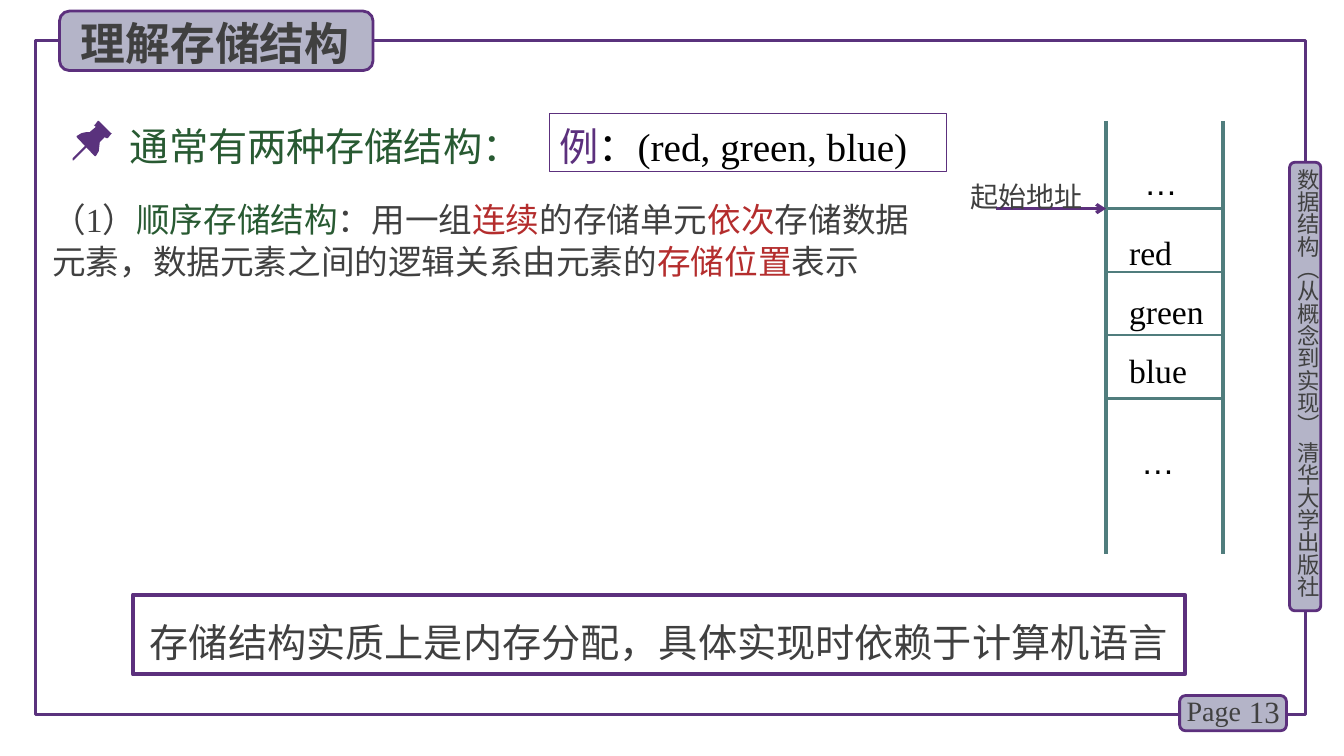
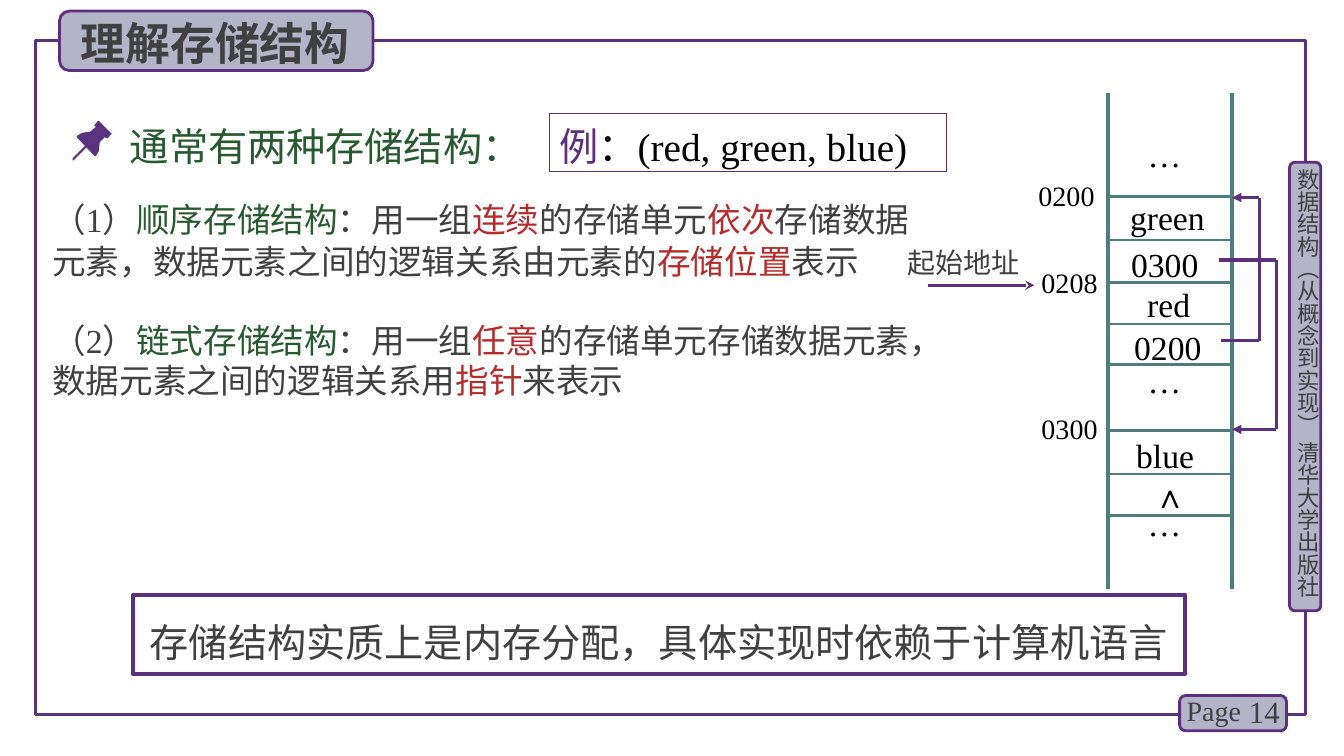
from itertools import pairwise

from lxml.etree import SubElement
from pptx import Presentation
from pptx.dml.color import RGBColor
from pptx.enum.shapes import MSO_CONNECTOR, MSO_SHAPE
from pptx.enum.text import MSO_ANCHOR, MSO_AUTO_SIZE, PP_ALIGN
from pptx.oxml.ns import qn
from pptx.util import Inches, Pt

# Palette and fonts
PURPLE = RGBColor(0x5C, 0x30, 0x7D)
FRAME = RGBColor(0x5A, 0x32, 0x7D)
LILAC = RGBColor(0xB4, 0xB4, 0xC8)
TEAL = RGBColor(0x50, 0x7D, 0x7D)
GREEN = RGBColor(0x28, 0x5A, 0x32)
RED = RGBColor(0xB4, 0x2D, 0x2D)
GREY = RGBColor(0x40, 0x40, 0x40)
BLACK = RGBColor(0, 0, 0)
CJK, SERIF, SANS = "Noto Sans CJK SC", "Times New Roman", "Arial"

CELL = Inches(0.1)  # one grid column or row
THICK, THIN = 2.25, 1.5


def grid(*cells):
    return [round(c * CELL) for c in cells]


def write(tf, text, size=24, color=BLACK, font=SERIF, bold=False, italic=False,
          align=PP_ALIGN.LEFT, anchor=MSO_ANCHOR.TOP, spacing=None, inset=None):
    """Fill a frame with a string or with (text, color, font) runs."""
    tf.word_wrap = True
    tf.auto_size = MSO_AUTO_SIZE.NONE
    tf.vertical_anchor = anchor
    if inset is not None:
        tf.margin_left = tf.margin_right = tf.margin_top = tf.margin_bottom = inset
    p = tf.paragraphs[0]
    p.alignment = align
    if spacing:
        p.line_spacing = spacing
    runs = [(text, color, font)] if isinstance(text, str) else text
    for words, run_color, run_font in runs:
        r = p.add_run()
        r.text = words
        r.font.size = Pt(size)
        r.font.name = run_font
        r.font.bold = bold
        r.font.italic = italic
        r.font.color.rgb = run_color
        SubElement(r.font._element, qn("a:ea"), typeface=CJK)


class Deck:
    """Holds the presentation, its style and the current slide."""

    def __init__(self):
        self.prs = Presentation()
        self.prs.slide_width, self.prs.slide_height = Inches(13.33), Inches(7.5)
        self.s = None

    # Basic elements
    def box(self, x, y, w, h, line=PURPLE, width=2, fill=None, rounded=False):
        kind = MSO_SHAPE.ROUNDED_RECTANGLE if rounded else MSO_SHAPE.RECTANGLE
        sp = self.s.shapes.add_shape(kind, *grid(x, y, w, h))
        sp.shadow.inherit = False
        sp.line.color.rgb = line
        sp.line.width = Pt(width)
        if fill is None:
            sp.fill.background()
        else:
            sp.fill.solid()
            sp.fill.fore_color.rgb = fill
        return sp

    def text(self, x, y, w, h, text, **fmt):
        sp = self.s.shapes.add_textbox(*grid(x, y, w, h))
        write(sp.text_frame, text, **fmt)
        return sp

    def line(self, start, end, color=PURPLE, width=THICK, head=None):
        c = self.s.shapes.add_connector(MSO_CONNECTOR.STRAIGHT, *grid(*start, *end))
        c.line.color.rgb = color
        c.line.width = Pt(width)
        if head:
            SubElement(c.line._get_or_add_ln(), qn("a:tailEnd"), type=head)
        SubElement(c._element.spPr, qn("a:effectLst"))

    def route(self, points):
        """Run a line through the points, with an arrowhead at the last one."""
        for start, end in pairwise(points):
            self.line(start, end, head="triangle" if end == points[-1] else None)

    def outline(self, points, fill):
        start, *rest = [grid(*point) for point in points]
        builder = self.s.shapes.build_freeform(*start)
        builder.add_line_segments(rest, close=True)
        sp = builder.convert_to_shape()
        sp.shadow.inherit = False
        sp.fill.solid()
        sp.fill.fore_color.rgb = fill
        sp.line.fill.background()

    # Slide parts
    def new_slide(self, title, page):
        self.s = self.prs.slides.add_slide(self.prs.slide_layouts[5])
        self.box(3.5, 4, 126, 66.9, line=FRAME, width=THICK)
        # Side band
        self.box(127.9, 16.1, 3.1, 44.5, fill=LILAC, rounded=True)
        side = self.text(128.3, 16.7, 2.7, 44.9, "数据结构（从概念到实现） 清华大学出版社",
                         size=16, color=GREY, font=CJK, spacing=Pt(19), inset=0)
        side.text_frame._txBody.bodyPr.set("vert", "eaVert")
        # Page number
        self.box(117, 69, 10.6, 3.5, fill=LILAC, rounded=True)
        self.text(122, 68.6, 5.9, 4, str(page), size=22, color=GREY,
                  align=PP_ALIGN.RIGHT, anchor=MSO_ANCHOR.MIDDLE)
        self.text(116.7, 68.3, 7.8, 4.4, "Page", size=20, color=GREY)
        # Title over its band
        band = self.box(5.9, 1.1, 31.1, 5.9, fill=LILAC, rounded=True)
        sp = self.s.shapes.title
        sp.left, sp.top, sp.width, sp.height = grid(7, 1.1, 30.2, 5.9)
        write(sp.text_frame, title, size=32, color=GREY, font=CJK, bold=True,
              spacing=Pt(38))
        band._element.addnext(sp._element)

    def pin(self):
        self.outline([(11, 13.2), (9.8, 12), (9.7, 12), (9.4, 12.4), (9.3, 12.4),
                      (9.5, 12.6), (8.9, 13.1), (8.6, 13.1), (8.1, 13.2), (7.6, 13.5),
                      (7.6, 13.6), (9.4, 15.5), (9.5, 15.5), (9.8, 15), (9.9, 14.1),
                      (10.4, 13.6), (10.5, 13.7), (10.7, 13.7), (11.1, 13.2)], FRAME)
        self.outline([(7.3, 15.9), (7.2, 15.9), (7.2, 15.7), (8.5, 14.4),
                      (8.6, 14.4), (8.6, 14.6)], FRAME)

    def definition(self, y, number, name, parts, spacing):
        """Numbered definition; every second part is a key word."""
        runs = [(f"（{number}）", GREY, SERIF), (name, GREEN, CJK)]
        runs += [(part, RED if i % 2 else GREY, CJK) for i, part in enumerate(parts)]
        self.text(4.2, y, 87.3, 10.2, runs, spacing=Pt(spacing))

    def common_content(self):
        self.text(11.9, 11.5, 46, 6.7, "通常有两种存储结构：", size=28, color=GREEN,
                  font=CJK, spacing=Pt(35))
        self.pin()
        self.definition(19.1, 1, "顺序存储结构",
                        ["：用一组", "连续", "的存储单元", "依次",
                         "存储数据元素，数据元素之间的逻辑关系由元素的", "存储位置", "表示"], 30)
        summary = self.box(13.2, 59, 104.3, 7.9, width=3)
        write(summary.text_frame, "存储结构实质上是内存分配，具体实现时依赖于计算机语言",
              size=28, color=GREY, font=CJK, spacing=Pt(44),
              align=PP_ALIGN.CENTER, anchor=MSO_ANCHOR.MIDDLE)
        example = self.box(54.5, 11.3, 39.4, 5.7, width=0.75)
        write(example.text_frame,
              [("例", PURPLE, SERIF), ("：(red, green, blue)", BLACK, SERIF)],
              size=28, spacing=Pt(36))

    def memory(self, left, right, top, bottom, thick, thin):
        """Two rails with heavy and light cell borders at the given rows."""
        for x in (left, right):
            self.line((x, top), (x, bottom), color=TEAL)
        for rows, width in ((thick, THICK), (thin, THIN)):
            for y in rows:
                self.line((left, y), (right, y), color=TEAL, width=width)


def sequential_slide(deck):
    deck.new_slide("理解存储结构", 13)
    deck.common_content()
    first, step = 20.7, 6.27
    borders = [first + i * step for i in range(4)]
    deck.memory(109.7, 121.3, 12, 55, borders[::3], borders[1:3])
    for i, word in enumerate(("red", "green", "blue")):
        deck.text(111, first + i * 5.83, 10.8, 6.8, word, spacing=Pt(42))
    for x, y in ((112.5, 13.7), (112.2, 41.4)):
        deck.text(x, y, 5.4, 6.9, "…", font=SANS, spacing=Pt(42))
    # Start address
    deck.line((98.8, first), (109.7, first), head="arrow")
    deck.text(95.3, 14.8, 13.5, 6.1, "起始地址", size=20, color=GREY, font=CJK,
              spacing=Pt(42))


def linked_slide(deck):
    deck.new_slide("理解存储结构", 14)
    deck.common_content()
    deck.definition(31.2, 2, "链式存储结构",
                    ["：用一组", "任意", "的存储单元存储数据元素，数据元素之间的逻辑关系用",
                     "指针", "来表示"], 29)
    deck.memory(109.9, 122.2, 9.2, 58.4,
                thick=(19.5, 28, 36.2, 42.7, 51.1), thin=(23.8, 32.1, 47))
    # Cell contents
    for x, y, word in ((111.1, 18.6, "green"), (111.2, 23.3, "0300"),
                       (112.8, 27.3, "red"), (111.5, 31.5, "0200"),
                       (111.7, 42.3, "blue"), (113.4, 46.2, "∧")):
        deck.text(x, y, 10.9, 5.5, word, spacing=1.1)
    for y in (12.4, 34.8, 49):
        deck.text(113.1, y, 5.6, 5.5, "…", italic=True, spacing=1.1)
    # Addresses
    for x, y, address in ((103, 18.4, "0200"), (103.3, 27, "0208"), (103.3, 41.5, "0300")):
        deck.text(x, y, 6, 2.3, address, size=20, spacing=0.8, inset=0)
    # Pointers
    deck.route([(121.1, 33.8), (124.9, 33.8), (124.9, 19.6), (122.2, 19.6)])
    deck.route([(120.9, 25.8), (126.6, 25.8), (126.6, 42.6), (122.2, 42.6)])
    # Start address
    deck.line((92, 28.3), (102.6, 28.3), head="stealth")
    deck.text(89, 23.9, 13.1, 4.7, "起始地址", size=20, color=GREY, font=CJK,
              spacing=Pt(24))


def main():
    deck = Deck()
    sequential_slide(deck)
    linked_slide(deck)
    deck.prs.save("out.pptx")


if __name__ == "__main__":
    main()
